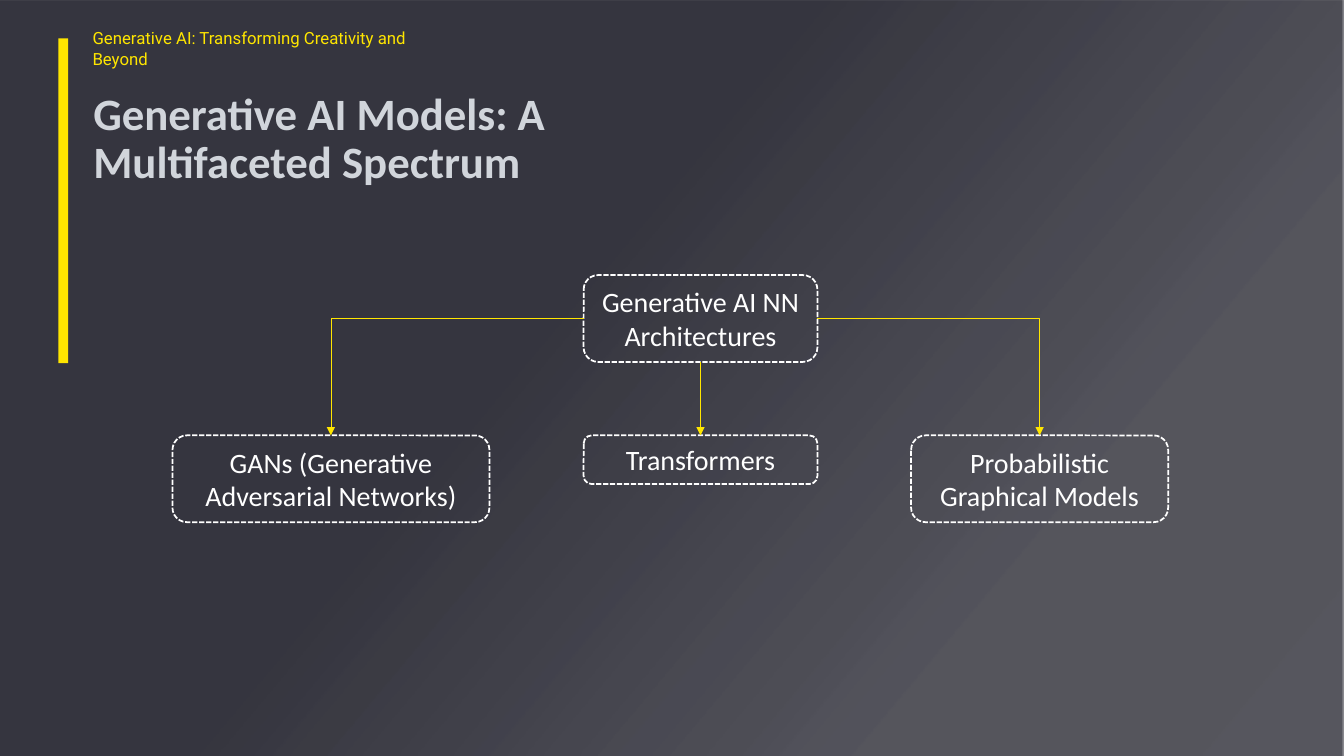
from pptx import Presentation
from pptx.dml.color import RGBColor
from pptx.enum.dml import MSO_LINE as Dash
from pptx.enum.shapes import MSO_CONNECTOR as Conn, MSO_SHAPE as Form
from pptx.enum.text import MSO_ANCHOR as Anchor, PP_ALIGN as Align
from pptx.oxml import parse_xml
from pptx.oxml.ns import nsdecls, qn
from pptx.oxml.xmlchemy import OxmlElement as Node
from pptx.util import Pt

WIDE, HIGH = 960, 540
DARK, GOLD, WHITE, PALE = "2E2E38", "FFE600", "FFFFFF", "D1D5DB"
TOP, LEFT, BASE, RIGHT = range(4)
HEAD = {"name": "Calibri", "size": Pt(32), "bold": True}
NOTE = {"name": "Roboto", "size": Pt(12)}
BODY = {"name": "Calibri", "size": Pt(20)}


def tint(code):
    return RGBColor.from_string(code)


def write(frame, text, look, hue, **form):
    frame.word_wrap = True
    para = frame.paragraphs[0]
    run = para.add_run()
    run.text = text
    for key, val in form.items():
        setattr(para, key, val)
    for key, val in look.items():
        setattr(run.font, key, val)
    run.font.color.rgb = tint(hue)


def shape(page, form, box):
    item = page.shapes.add_shape(form, *map(Pt, box))
    item.shadow.inherit = False
    return item


def ground(page, box):
    item = shape(page, Form.RECTANGLE, box)
    item.line.fill.background()
    stops = "".join(
        f'<a:gs pos="{pos * 1000}"><a:srgbClr val="{DARK}">'
        f'<a:alpha val="{alpha * 1000}"/></a:srgbClr></a:gs>'
        for pos, alpha in ((41, 96), (76, 81), (97, 80)))
    fill = parse_xml(
        f'<a:gradFill {nsdecls("a")} rotWithShape="1"><a:gsLst>{stops}</a:gsLst>'
        f'<a:lin ang="{40 * 60000}" scaled="0"/></a:gradFill>')
    item._element.spPr.find(qn("a:prstGeom")).addnext(fill)


def header(page, box):
    x, y, wide, high = box
    bar = shape(page, Form.RECTANGLE, (x, y, 7, high))
    bar.fill.solid()
    bar.fill.fore_color.rgb = tint(GOLD)
    bar.line.fill.background()
    title = page.shapes.add_textbox(Pt(x + 25), Pt(y + 31.7), Pt(wide - 25), Pt(81.4)).text_frame
    title.margin_left = 0
    title.vertical_anchor = Anchor.MIDDLE
    write(title, "Generative AI Models: A Multifaceted Spectrum", HEAD, PALE, line_spacing=0.9)
    note = page.shapes.add_textbox(Pt(x + 17.3), Pt(y - 10.8), Pt(262), Pt(36)).text_frame
    write(note, "Generative AI: Transforming Creativity and Beyond", NOTE, GOLD)


def node(page, text, box):
    item = shape(page, Form.ROUNDED_RECTANGLE, box)
    item.fill.background()
    item.line.color.rgb = tint(WHITE)
    for key, val in {"width": Pt(1.25), "dash_style": Dash.SQUARE_DOT}.items():
        setattr(item.line, key, val)
    item.text_frame.vertical_anchor = Anchor.MIDDLE
    write(item.text_frame, text, BODY, WHITE, alignment=Align.CENTER)
    return item


def link(page, root, side, leaf):
    kind = Conn.STRAIGHT if side == BASE else Conn.ELBOW
    line = page.shapes.add_connector(kind, 0, 0, 0, 0)
    line.begin_connect(root, side)
    line.end_connect(leaf, TOP)
    line.line.color.rgb = tint(GOLD)
    line.line.width = Pt(0.5)
    props = line._element.spPr
    if kind == Conn.ELBOW:
        props.find(qn("a:prstGeom")).set("prst", "bentConnector2")
    tail = Node("a:tailEnd")
    tail.set("type", "triangle")
    props.find(qn("a:ln")).append(tail)
    props.append(Node("a:effectLst"))


def tree(page, box):
    x, y, wide, high = box
    tall, slim, mid = 62, 167, x + 293.7
    row = y + high - tall
    root = node(page, "Generative AI NN Architectures", (mid, y, slim, tall))
    leaves = (
        ("Transformers", BASE, mid, slim, 34.8),
        ("GANs (Generative Adversarial Networks)", LEFT, x, 226.4, tall),
        ("Probabilistic Graphical Models", RIGHT, x + wide - 183.6, 183.6, tall),
    )
    for text, side, left, span, size in leaves:
        link(page, root, side, node(page, text, (left, row, span, size)))


def main():
    deck = Presentation()
    deck.slide_width, deck.slide_height = Pt(WIDE), Pt(HIGH)
    page = deck.slides.add_slide(deck.slide_layouts[6])
    ground(page, (0, 0, WIDE, HIGH))
    header(page, (41.7, 27.4, 445.5, 232))
    tree(page, (123.2, 196.5, 711.2, 176.5))
    deck.save("out.pptx")


if __name__ == "__main__":
    main()
